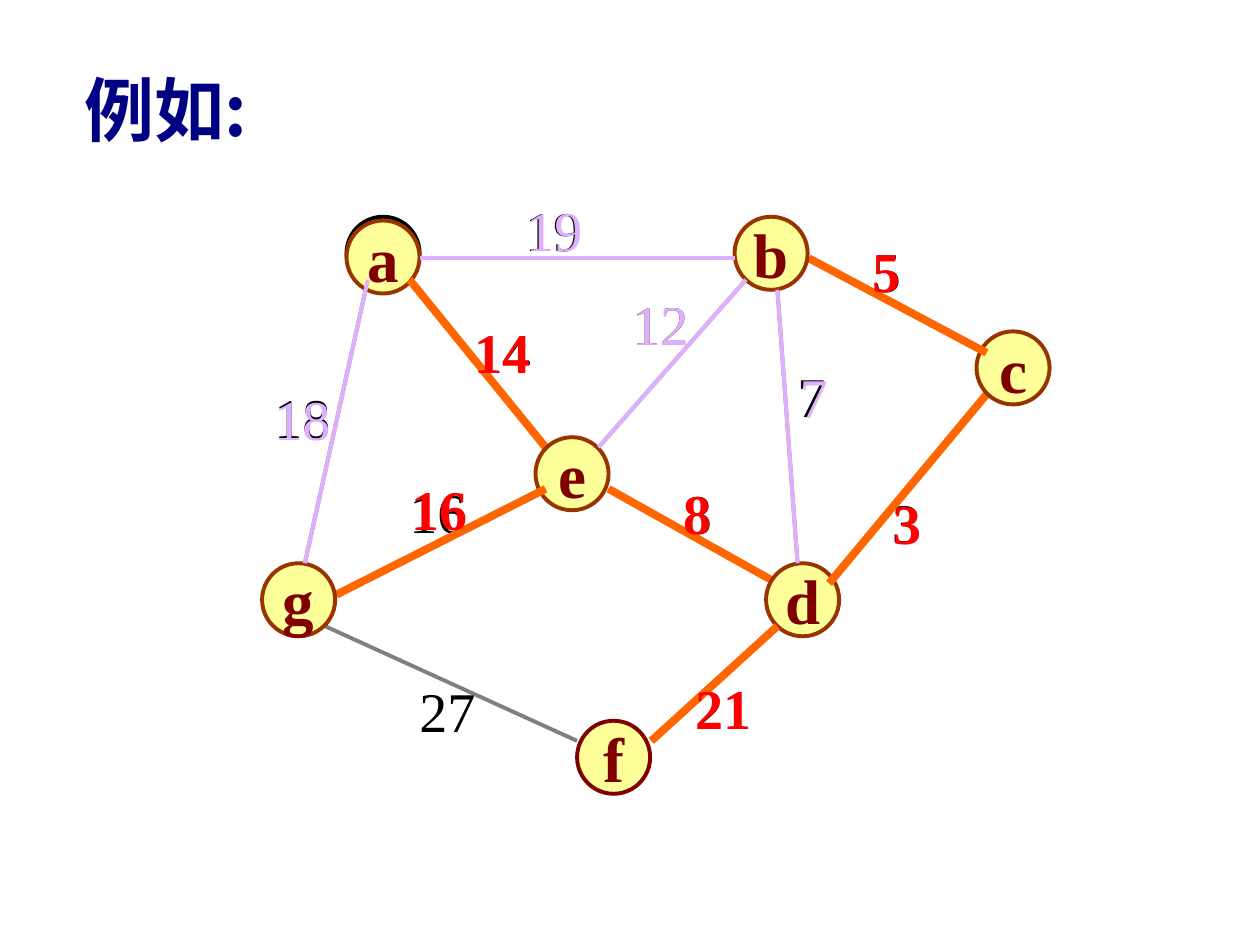
from pptx import Presentation
from pptx.dml.color import RGBColor
from pptx.enum.shapes import MSO_CONNECTOR, MSO_SHAPE
from pptx.enum.text import MSO_ANCHOR, MSO_AUTO_SIZE, PP_ALIGN
from pptx.oxml.ns import qn
from pptx.util import Inches, Pt
from lxml.etree import SubElement

COLORS = {
    "black": "000000", "gray": "808080", "green": "CCFFCC", "yellow": "FFFF99",
    "brown": "993300", "maroon": "800000", "orange": "FF6600", "red": "FF0000",
    "violet": "DFAFFF", "navy": "000082",
}
NODE_SIZE = 0.58
NODES = {
    "a": (2.75, 1.75), "b": (5.83, 1.72), "c": (7.75, 2.63), "d": (6.08, 4.47),
    "e": (4.25, 3.47), "f": (4.58, 5.72), "g": (2.08, 4.47),
}
EDGES = {
    "ab": ((3.33, 2.05), (5.83, 2.05)),
    "ae": ((3.25, 2.22), (4.33, 3.55)),
    "be": ((5.92, 2.22), (4.75, 3.55)),
    "ag": ((2.92, 2.22), (2.42, 4.47)),
    "ge": ((2.67, 4.72), (4.33, 3.88)),
    "ed": ((4.83, 3.88), (6.17, 4.63)),
    "bc": ((6.42, 2.05), (7.83, 2.8)),
    "cd": ((7.83, 3.13), (6.58, 4.63)),
    "bd": ((6.17, 2.3), (6.33, 4.47)),
    "gf": ((2.58, 4.97), (4.58, 5.88)),
    "df": ((6.17, 4.97), (5.17, 5.88)),
}
WEIGHTS = {
    "ab": ("19", 4.07, 1.5), "bc": ("5", 6.83, 1.83), "ae": ("14", 3.67, 2.47),
    "ag": ("18", 2.08, 2.99), "gf": ("27", 3.23, 5.32), "ge": ("16", 3.15, 3.74),
    "ed": ("8", 5.33, 3.75), "df": ("21", 5.42, 5.3), "cd": ("3", 6.98, 3.82),
    "be": ("12", 4.92, 2.25), "bd": ("7", 6.23, 2.82),
}
TREE_STEPS = [("ae", "e"), ("ed", "d"), ("cd", "c"), ("bc", "b"), ("ge", "g"), ("df", "f")]
TREE_SHIFTS = {"ae": (0, 0), "ed": (0, 0), "bc": (0, 0), "cd": (0.01, 0.01),
               "ge": (0.02, -0.02), "df": (0, 0)}
REJECTED_SHIFTS = {"bd": (0.02, 0.01), "be": (0, 0), "ag": (0, 0.01), "ab": (0.01, 0)}


def rgb(name):
    return RGBColor.from_string(COLORS[name])


class GraphPage:
    font = "Times New Roman"
    title_font = "Noto Sans CJK SC"

    def __init__(self, deck):
        self.page = deck.slides.add_slide(deck.slide_layouts[5])

    def set_text(self, box, text, size, color, bold, font, align):
        frame = box.text_frame
        frame.text = text
        frame.word_wrap = False
        para = frame.paragraphs[0]
        para.alignment = align
        span = para.runs[0]
        span.font.name = font
        span.font.size = Pt(size)
        span.font.bold = bold
        span.font.color.rgb = rgb(color)
        return span

    def title(self, text, left, top, width, height):
        box = self.page.shapes.title
        box.left, box.top = Inches(left), Inches(top)
        box.width, box.height = Inches(width), Inches(height)
        span = self.set_text(box, text, 40, "navy", True, self.title_font, PP_ALIGN.LEFT)
        box.text_frame.vertical_anchor = MSO_ANCHOR.TOP
        box.text_frame.auto_size = MSO_AUTO_SIZE.SHAPE_TO_FIT_TEXT
        east_asian = SubElement(span.font._element, qn("a:ea"))
        east_asian.set("typeface", self.title_font)

    def node(self, name, left, top, fill="yellow", line="brown", color="maroon"):
        size = Inches(NODE_SIZE)
        circle = self.page.shapes.add_shape(
            MSO_SHAPE.OVAL, Inches(left), Inches(top), size, size)
        circle.shadow.inherit = False
        circle.fill.solid()
        circle.fill.fore_color.rgb = rgb(fill)
        circle.line.color.rgb = rgb(line)
        circle.line.width = Pt(2.25)
        self.set_text(circle, name, 36, color, True, self.font, PP_ALIGN.CENTER)
        circle.text_frame.vertical_anchor = MSO_ANCHOR.MIDDLE

    def edge(self, name, color, width=2.25):
        (x1, y1), (x2, y2) = EDGES[name]
        line = self.page.shapes.add_connector(
            MSO_CONNECTOR.STRAIGHT, Inches(x1), Inches(y1), Inches(x2), Inches(y2))
        line.line.color.rgb = rgb(color)
        line.line.width = Pt(width)
        SubElement(line._element.spPr, qn("a:effectLst"))

    def weight(self, name, color, shift=(0, 0), bold=False):
        text, left, top = WEIGHTS[name]
        width = 0.65 if len(text) == 2 else 0.42
        box = self.page.shapes.add_textbox(
            Inches(left + shift[0]), Inches(top + shift[1]), Inches(width), Inches(0.63))
        self.set_text(box, text, 32, color, bold, self.font, PP_ALIGN.LEFT)
        box.text_frame.auto_size = MSO_AUTO_SIZE.SHAPE_TO_FIT_TEXT


def main():
    deck = Presentation()
    deck.slide_width, deck.slide_height = Inches(10), Inches(7.5)
    graph = GraphPage(deck)
    graph.title("例如:", 0.57, 0.48, 1.6, 0.77)

    graph.node("a", 2.75, 1.72, "green", "black", "black")
    for name in EDGES:
        graph.edge(name, "gray")
    for name in WEIGHTS:
        graph.weight(name, "black")

    graph.node("a", *NODES["a"])
    for edge, node in TREE_STEPS:
        graph.edge(edge, "orange", 4.5)
        graph.node(node, *NODES[node], line="maroon" if node == "f" else "brown")
    for name, shift in TREE_SHIFTS.items():
        graph.weight(name, "red", shift, bold=True)

    for name in REJECTED_SHIFTS:
        graph.edge(name, "violet")
    for name, shift in REJECTED_SHIFTS.items():
        graph.weight(name, "violet", shift)
    deck.save("out.pptx")


if __name__ == "__main__":
    main()
